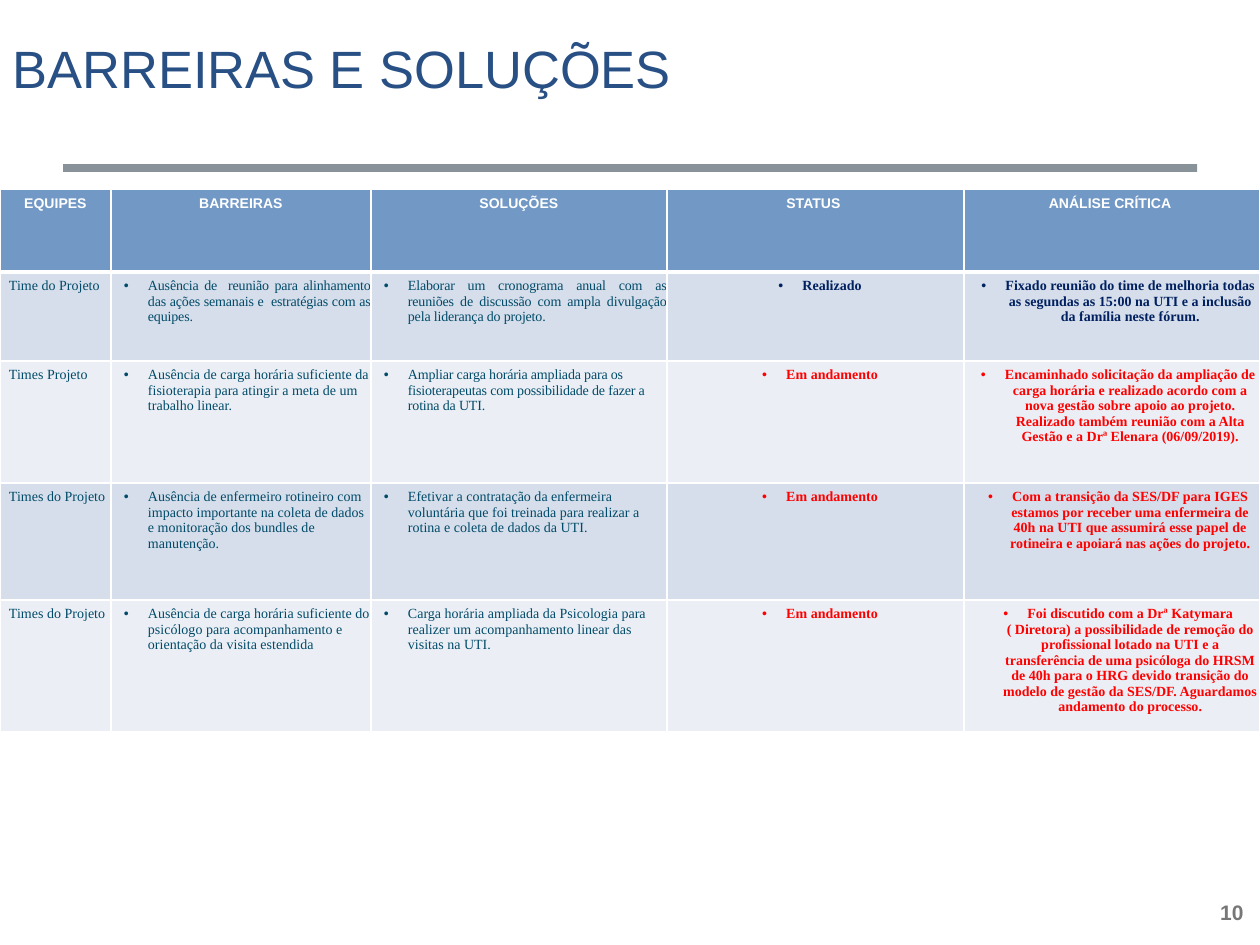
"""Build the slide of team barriers, solutions, status and critical analysis."""
from lxml.etree import SubElement
from pptx import Presentation
from pptx.dml.color import RGBColor
from pptx.enum.shapes import MSO_CONNECTOR
from pptx.enum.text import MSO_ANCHOR, PP_ALIGN as AL
from pptx.oxml import parse_xml
from pptx.oxml.ns import nsdecls, qn
from pptx.util import Emu, Pt

SCALE = 914400 / 126
NAVY, TEAL, RED, WHITE = "002060", "014A69", "FF0000", "FFFFFF"
HEADER = ["EQUIPES", "BARREIRAS", "SOLUÇÕES", "STATUS ", "ANÁLISE CRÍTICA "]
ROWS = [
    ["Time do Projeto",
     "Ausência de  reunião para alinhamento das ações semanais e  estratégias com as equipes.",
     "Elaborar um cronograma anual com as reuniões de discussão com ampla divulgação "
     "pela liderança do projeto.",
     "Realizado ",
     "Fixado reunião do time de melhoria todas as segundas as 15:00 na UTI e a inclusão "
     "da família neste fórum."],
    ["Times Projeto",
     "Ausência de carga horária suficiente da fisioterapia para atingir a meta de "
     "um  trabalho linear.",
     "Ampliar carga horária ampliada para os fisioterapeutas com possibilidade de fazer "
     "a rotina da UTI.",
     "Em andamento ",
     "Encaminhado solicitação da ampliação de carga horária e realizado acordo com a nova "
     "gestão sobre apoio ao projeto. Realizado também reunião com a Alta Gestão e a "
     "Drª Elenara (06/09/2019)."],
    ["Times do Projeto",
     "Ausência de enfermeiro rotineiro com impacto importante na coleta de dados e "
     "monitoração dos bundles de manutenção.",
     "Efetivar a contratação da enfermeira voluntária que foi treinada para realizar a "
     "rotina e coleta de dados da UTI.",
     "Em andamento ",
     "Com a transição da SES/DF para IGES estamos por receber uma enfermeira de 40h na UTI "
     "que assumirá esse papel de rotineira e apoiará nas ações do projeto."],
    ["Times do Projeto",
     "Ausência de carga horária suficiente do psicólogo para acompanhamento e orientação "
     "da visita estendida",
     "Carga horária ampliada da Psicologia para realizer um acompanhamento linear das "
     "visitas na UTI.",
     "Em andamento ",
     "Foi discutido com a Drª Katymara ( Diretora) a possibilidade de remoção do "
     "profissional lotado na UTI e a transferência de uma psicóloga do HRSM de 40h para o "
     "HRG devido transição do modelo de gestão da SES/DF. Aguardamos andamento do processo."],
]
WIDTHS = [111, 260, 296, 297, 296]
HEIGHTS = [83, 89, 122, 117, 132]


def px(n):
    return Emu(round(n * SCALE))


def write(tf, text, size, color, bold=False, font="Arial", align=AL.LEFT):
    p = tf.paragraphs[0]
    p.text = text
    p.alignment = align
    f = p.runs[0].font
    f.size, f.bold, f.name = Pt(size), bold, font
    f.color.rgb = RGBColor.from_string(color)
    return p


prs = Presentation()
prs.slide_width, prs.slide_height = px(1260), px(945)
s = prs.slides.add_slide(prs.slide_layouts[6])

rule = s.shapes.add_connector(MSO_CONNECTOR.STRAIGHT, px(63), px(168), px(1197), px(168))
rule.line.width = Pt(4.5)
rule.line.color.rgb = RGBColor.from_string("455660")
rgb = next(rule.line._ln.iter(qn("a:srgbClr")))
SubElement(rgb, qn("a:alpha"), val="64000")
SubElement(rule._element.spPr, qn("a:effectLst"))

title = s.shapes.add_textbox(px(0), px(10), px(1197), px(116)).text_frame
title.word_wrap = True
title.vertical_anchor = MSO_ANCHOR.MIDDLE
write(title, "BARREIRAS E SOLUÇÕES", 30, "285084").space_before = Pt(6)

number = s.shapes.add_textbox(px(1193), px(893), px(63), px(50)).text_frame
number.word_wrap = True
write(number, "10", 12, "777779", True, align=AL.RIGHT)

frame = s.shapes.add_table(5, 5, px(0), px(189), px(sum(WIDTHS)), px(sum(HEIGHTS)))
table = frame.table
for col, w in zip(table.columns, WIDTHS):
    col.width = px(w)
for row, h in zip(table.rows, HEIGHTS):
    row.height = px(h)

for i, texts in enumerate([HEADER] + ROWS):
    for j, text in enumerate(texts):
        cell = table.cell(i, j)
        cell.fill.solid()
        fill = "7299C6" if i == 0 else "D5DEEA" if i % 2 else "EBEFF5"
        cell.fill.fore_color.rgb = RGBColor.from_string(fill)
        tcPr = cell._tc.get_or_add_tcPr()
        for k, side in enumerate("LRTB"):
            thick = (i, side) in [(0, "B"), (1, "T")]
            tcPr.insert(k, parse_xml(
                f'<a:ln{side} {nsdecls("a")} w="{Pt(3 if thick else 1)}"><a:solidFill>'
                f'<a:srgbClr val="{WHITE}"/></a:solidFill></a:ln{side}>'))
        if i == 0:
            write(cell.text_frame, text, 8, WHITE, True, align=AL.CENTER)
            continue
        cell.margin_left = cell.margin_right = cell.margin_bottom = 0
        cell.margin_top = px(6)
        status = j > 2
        color = TEAL if not status else NAVY if i == 1 else RED
        align = AL.CENTER if status else AL.JUSTIFY if i == 1 and j else AL.LEFT
        p = write(cell.text_frame, text, 8, color, status, "Times New Roman", align)
        pPr = p._p.get_or_add_pPr()
        pPr.set("marL", str(px(37 if j else 9)))
        pPr.set("indent", str(px(-24 if j else 0)))
        if j:
            p.space_before = Pt(3.4)
            SubElement(pPr, qn("a:buFont"), typeface="Arial")
            SubElement(pPr, qn("a:buChar"), char="•")
        if (i, j) in [(1, 1), (1, 2), (2, 2)]:
            p.runs[0]._r.get_or_add_rPr().set("spc", "-10")

prs.save("out.pptx")
